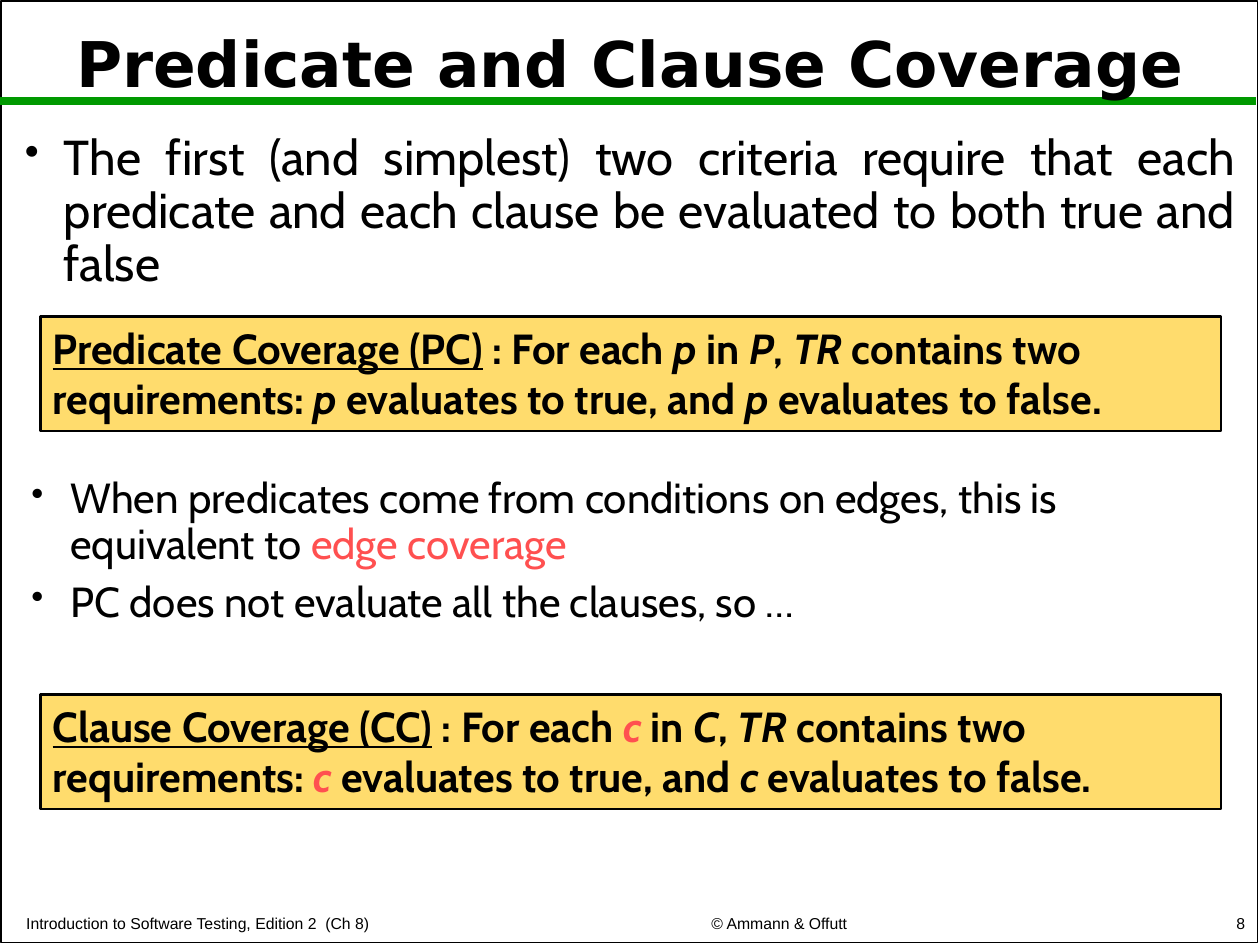
"""Builds the slide on predicate coverage and clause coverage."""
from lxml.etree import SubElement
from pptx import Presentation
from pptx.dml.color import RGBColor
from pptx.enum.shapes import MSO_CONNECTOR, MSO_SHAPE
from pptx.enum.text import MSO_ANCHOR, PP_ALIGN
from pptx.oxml.ns import qn
from pptx.util import Inches, Pt

BLACK = RGBColor(0x00, 0x00, 0x00)
GREEN = RGBColor(0x00, 0x99, 0x00)
YELLOW = RGBColor(0xFF, 0xDC, 0x6D)
RED = RGBColor(0xFF, 0x50, 0x50)

TITLE = "Predicate and Clause Coverage"
INTRO = [[("The first (and simplest) two criteria require that each predicate "
           "and each clause be evaluated to both true and false", "")]]
REMARKS = [
    [("When predicates come from conditions on edges, this is equivalent to ", ""),
     ("edge coverage", "red")],
    [("PC does not evaluate all the clauses, so …", "")],
]
CRITERIA = [
    (2.51, "Predicate Coverage (PC)", "p", "P", "italic"),
    (5.51, "Clause Coverage (CC)", "c", "C", "italic red"),
]
FOOTERS = [
    (0.11, 4.27, "Introduction to Software Testing, Edition 2  (Ch 8)", PP_ALIGN.LEFT),
    (4.6, 3.17, "© Ammann & Offutt", PP_ALIGN.CENTER),
    (7.9, 2.08, "8", PP_ALIGN.RIGHT),
]


def set_font(paragraph, name, size, bold=False):
    font = paragraph.font
    font.name, font.size, font.bold = name, Pt(size), bold
    font.color.rgb = BLACK


def add_runs(paragraph, pieces):
    for words, style in pieces:
        run = paragraph.add_run()
        run.text = words
        if "underline" in style:
            run.font.underline = True
        if "italic" in style:
            run.font.italic = True
        if "red" in style:
            run.font.color.rgb = RED


def add_text_frame(slide, left, top, width, height):
    box = slide.shapes.add_textbox(*map(Inches, (left, top, width, height)))
    box.text_frame.word_wrap = True
    return box.text_frame


def add_bullets(slide, place, items, size, align):
    frame = add_text_frame(slide, *place)
    for index, pieces in enumerate(items):
        paragraph = frame.add_paragraph() if index else frame.paragraphs[0]
        paragraph.alignment = align
        paragraph.line_spacing = 0.9
        if index:
            paragraph.space_before = Pt(0.3 * size)
        set_font(paragraph, "Cabin", size)
        add_runs(paragraph, pieces)
        properties = paragraph._p.get_or_add_pPr()
        properties.set("marL", str(Inches(0.31)))
        properties.set("indent", str(Inches(-0.31)))
        bullet_size = SubElement(properties, qn("a:buSzPct"), val="85000")
        bullet = SubElement(properties, qn("a:buChar"), char="•")
        defaults = properties.find(qn("a:defRPr"))
        defaults.addprevious(bullet_size)
        defaults.addprevious(bullet)


def add_criterion(slide, top, name, member, group, first_style):
    box = slide.shapes.add_shape(
        MSO_SHAPE.RECTANGLE, Inches(0.32), Inches(top), Inches(9.37), Inches(0.91))
    box.shadow.inherit = False
    box.fill.solid()
    box.fill.fore_color.rgb = YELLOW
    box.line.color.rgb = BLACK
    box.line.width = Pt(1.5)
    box.text_frame.word_wrap = True
    box.text_frame.vertical_anchor = MSO_ANCHOR.TOP
    definition = box.text_frame.paragraphs[0]
    definition.alignment = PP_ALIGN.LEFT
    set_font(definition, "Cabin", 24, bold=True)
    add_runs(definition, [
        (name, "underline"), (" : For each ", ""), (member, first_style),
        (" in ", ""), (group, "italic"), (", ", ""), ("TR", "italic"),
        (" contains two requirements: ", ""), (member, first_style),
        (" evaluates to true, and ", ""), (member, "italic"),
        (" evaluates to false.", ""),
    ])


def add_page_frame(slide):
    border = slide.shapes.add_shape(
        MSO_SHAPE.RECTANGLE, Inches(0.01), Inches(0.01), Inches(9.97), Inches(7.47))
    border.shadow.inherit = False
    border.fill.background()
    border.line.color.rgb = BLACK
    border.line.width = Pt(1)
    rule = slide.shapes.add_connector(
        MSO_CONNECTOR.STRAIGHT, 0, Inches(0.8), Inches(9.97), Inches(0.8))
    rule.line.color.rgb = GREEN
    rule.line.width = Pt(4.5)
    SubElement(rule._element.spPr, qn("a:effectLst"))
    for left, width, words, align in FOOTERS:
        frame = add_text_frame(slide, left, 7.19, width, 0.26)
        frame.vertical_anchor = MSO_ANCHOR.BOTTOM
        footer = frame.paragraphs[0]
        footer.text = words
        footer.alignment = align
        set_font(footer, "Arial", 9)


def add_title(slide):
    title = slide.shapes.title
    title.left, title.top = Inches(0), Inches(0.05)
    title.width, title.height = Inches(10), Inches(0.96)
    title.text_frame.text = TITLE
    title.text_frame.vertical_anchor = MSO_ANCHOR.MIDDLE
    heading = title.text_frame.paragraphs[0]
    heading.alignment = PP_ALIGN.CENTER
    heading.line_spacing = 0.9
    set_font(heading, "DejaVu Sans", 36, bold=True)
    slide.shapes._spTree.append(title._element)


def main():
    deck = Presentation()
    deck.slide_width, deck.slide_height = Inches(10), Inches(7.5)
    slide = deck.slides.add_slide(deck.slide_layouts[5])
    add_page_frame(slide)
    add_title(slide)
    add_bullets(slide, (0.1, 1.01, 9.8, 1.33), INTRO, 28, PP_ALIGN.JUSTIFY)
    for criterion in CRITERIA:
        add_criterion(slide, *criterion)
    add_bullets(slide, (0.15, 3.74, 9.7, 1.5), REMARKS, 24, PP_ALIGN.LEFT)
    deck.save("out.pptx")


if __name__ == "__main__":
    main()
